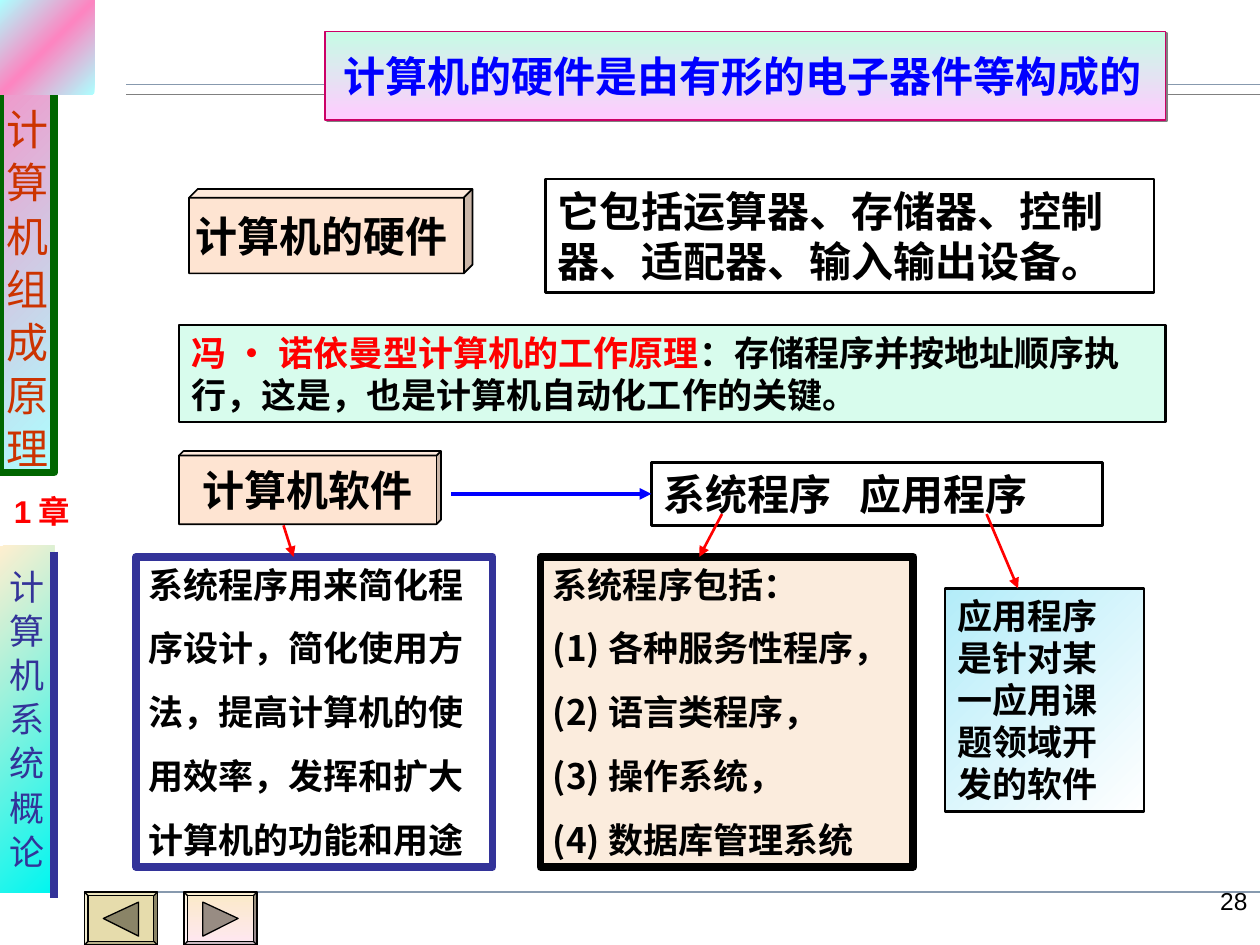
from copy import deepcopy

from lxml.etree import SubElement
from pptx import Presentation
from pptx.dml.color import RGBColor
from pptx.enum.shapes import MSO_CONNECTOR, MSO_SHAPE as SHAPE
from pptx.enum.text import MSO_ANCHOR as ANCHOR, MSO_AUTO_SIZE, PP_ALIGN as ALIGN
from pptx.oxml.ns import qn
from pptx.util import Inches, Pt

SANS, CJK = "Arial", "Noto Sans CJK SC"
BLACK, RED, NAVY, PEACH = "000000", "FF0000", "333399", "FEE4D2"
PINK, AQUA = "FD85C1", "ADFFFF"

# Content
TITLE = "计算机的硬件是由有形的电子器件等构成的"
COURSE, CHAPTER, TOPIC = "计算机组成原理", "1章", "计算机系统概论"
PAGE = "28"
CUBES = [  # text, box, depth, font
    ("计算机的硬件 ", (1.5, 1.5, 2.25, 0.67), 0.104, CJK),
    ("计算机软件", (1.42, 3.58, 2.08, 0.58), 0.062, SANS),
]
HARDWARE_PARTS = ["它包括运算器、存储器、控制器、适配器、输入输出设备。"]
PRINCIPLE = [[("冯·诺依曼型计算机的工作原理", RED),
              ("：存储程序并按地址顺序执行，这是，也是计算机自动化工作的关键。", BLACK)]]
PROGRAM_KINDS = ["系统程序\t应用程序"]
SOFTWARE_PURPOSE = ["系统程序用来简化程", "序设计，简化使用方", "法，提高计算机的使",
                    "用效率，发挥和扩大", "计算机的功能和用途"]
SYSTEM_PROGRAMS = ["系统程序包括：", "(1)各种服务性程序，", "(2)语言类程序，",
                   "(3)操作系统，", "(4)数据库管理系统"]
APPLICATIONS = ["应用程序是针对某一应用课题领域开发的软件"]
PANELS = [  # paragraphs, box, fill, line colour, line width, size
    (HARDWARE_PARTS, (4.33, 1.42, 4.83, 0.9), None, BLACK, 1.5, 24),
    (PRINCIPLE, (1.42, 2.58, 7.83, 0.77), "D8FCED", BLACK, 1.5, 20),
    (SOFTWARE_PURPOSE, (1.08, 4.42, 2.83, 2.46), None, NAVY, 4.5, 20),
    (SYSTEM_PROGRAMS, (4.29, 4.42, 2.96, 2.46), "FBECDD", BLACK, 4.5, 20),
    (APPLICATIONS, (7.5, 4.67, 1.58, 1.77), (45, "B3ECF9", "FFFFFF"), BLACK, 1.5, 20),
]
RULES = [(1, 0.67, "8799AE"), (1, 0.75, "808080"), (0.67, 7.08, "8799AE")]
BUTTONS = [  # left, fill, arrow fill, direction
    (0.67, "E6DCAC", "8A8467", -1),
    (1.46, (90, "FBEAC7", "FEE7F2"), "988C83", 1),
]
RED_ARROWS = [((2.25, 4.17), (2.33, 4.42)), ((5.73, 4.08), (5.55, 4.42)),
              ((7.83, 4.08), (8.08, 4.67))]

prs = Presentation()
prs.slide_width, prs.slide_height = Inches(10), Inches(7.5)
slide = prs.slides.add_slide(prs.slide_layouts[5])
shapes = slide.shapes


def color(value):
    return RGBColor.from_string(value)


def paint(shape, fill=None, line=None, width=0.75):
    """Fill is None, a colour, or (clockwise angle, colour, colour, ...)."""
    if fill is None:
        shape.fill.background()
    elif isinstance(fill, str):
        shape.fill.solid()
        shape.fill.fore_color.rgb = color(fill)
    else:
        angle, *tones = fill
        shape.fill.gradient()
        shape.fill.gradient_angle = 360 - angle
        stops = shape.fill._fill._gradFill.find(qn("a:gsLst"))
        while len(stops) < len(tones):
            stops.append(deepcopy(stops[0]))
        for i, (stop, tone) in enumerate(zip(shape.fill.gradient_stops, tones)):
            stop.position = i / (len(tones) - 1)
            stop.color.rgb = color(tone)
    if line:
        shape.line.color.rgb = color(line)
        shape.line.width = Pt(width)
    else:
        shape.line.fill.background()


def write(shape, paragraphs, size=20, font=CJK, tone=BLACK, bold=True, align=ALIGN.LEFT,
          anchor=ANCHOR.TOP, wrap=True, gap=0, insets=(0.1, 0.05, 0.1, 0.05), tab=None):
    """Each paragraph is a string or a list of (text, colour) runs."""
    frame = shape.text_frame
    frame.auto_size = MSO_AUTO_SIZE.NONE
    frame.word_wrap, frame.vertical_anchor = wrap, anchor
    (frame.margin_left, frame.margin_top,
     frame.margin_right, frame.margin_bottom) = map(Inches, insets)
    for i, runs in enumerate(paragraphs):
        para = frame.paragraphs[0] if i == 0 else frame.add_paragraph()
        para.alignment = align
        para.line_spacing = Pt(size * 1.2)
        para.space_before = Pt(gap if i else 0)
        if tab:
            stops = SubElement(para._p.get_or_add_pPr(), qn("a:tabLst"))
            SubElement(stops, qn("a:tab"), pos=str(Inches(tab)), algn="l")
        for text, run_tone in [(runs, tone)] if isinstance(runs, str) else runs:
            run = para.add_run()
            run.text = text
            run.font.size, run.font.bold, run.font.name = Pt(size), bold, font
            run.font.color.rgb = color(run_tone)
            SubElement(run._r.get_or_add_rPr(), qn("a:ea"), typeface=CJK)


def block(kind, box, fill=None, line=None, width=0.75):
    shape = shapes.add_shape(kind, *map(Inches, box))
    shape.shadow.inherit = False
    paint(shape, fill, line, width)
    return shape


def label(box, text, **style):
    write(shapes.add_textbox(*map(Inches, box)), [text], **style)


def connect(start, end, tone, width, arrow=False):
    line = shapes.add_connector(MSO_CONNECTOR.STRAIGHT, *map(Inches, start + end))
    line.line.color.rgb = color(tone)
    line.line.width = Pt(width)
    if arrow:
        SubElement(line.line._get_or_add_ln(), qn("a:tailEnd"), type="triangle")
    SubElement(line._element.spPr, qn("a:effectLst"))
    return line


# Rules across the page
for left, y, tone in RULES:
    connect((left, y), (10, y), tone, 0.75)

# Sidebar: course, chapter and topic
course = block(SHAPE.RECTANGLE, (0, 0, 0.43, 3.75), (45, PINK, AQUA), "006600", 4.5)
write(course, list(COURSE), size=24, font=SANS, tone="CC3300", bold=False, gap=1.5,
      align=ALIGN.CENTER, anchor=ANCHOR.BOTTOM, wrap=False, insets=(0.1, 0.05, 0.1, 0))
topic = block(SHAPE.RECTANGLE, (0, 4.33, 0.43, 2.75), (45, "FFEFCF", "00F6F0"))
write(topic, list(TOPIC), font=SANS, tone=NAVY, bold=False, gap=1.2,
      align=ALIGN.CENTER, anchor=ANCHOR.MIDDLE, wrap=False)
block(SHAPE.RECTANGLE, (0, 0, 0.75, 0.75), (45, AQUA, PINK, AQUA))
label((0, 3.86, 0.67, 0.4), CHAPTER, size=18, font=SANS, tone=RED, align=ALIGN.CENTER)
connect((0.43, 4.38), (0.43, 7.13), NAVY, 4.5)

# Back and forward buttons
for left, fill, arrow_fill, way in BUTTONS:
    button = block(SHAPE.BEVEL, (left, 7.08, 0.58, 0.42), fill, BLACK)
    button.adjustments[0] = 0.07
    middle, base, tip = left + 0.29, left + 0.29 - way * 0.14, left + 0.29 + way * 0.14
    outline = shapes.build_freeform(Inches(tip), Inches(7.29))
    outline.add_line_segments([(Inches(base), Inches(7.16)), (Inches(base), Inches(7.43))])
    triangle = outline.convert_to_shape()
    triangle.shadow.inherit = False
    paint(triangle, arrow_fill, BLACK)

# Page number
label((9, 6.98, 1, 0.52), PAGE, size=14, font=SANS, bold=False, align=ALIGN.RIGHT)

# Title, above the rules
title = shapes.title
title.left, title.top, title.width, title.height = map(Inches, (2.58, 0.25, 6.67, 0.7))
paint(title, (90, "C7FBE5", "FFCCFF"), "CC0066", 1)
write(title, [TITLE], size=24, font=SANS, tone="0000FF", align=ALIGN.RIGHT,
      anchor=ANCHOR.MIDDLE, insets=(0.1, 0.05, 0.19, 0.05))
effects = SubElement(title._element.spPr, qn("a:effectLst"))
shadow = SubElement(effects, qn("a:outerShdw"), dist=str(Pt(1.4)), dir="2700000")
SubElement(shadow, qn("a:srgbClr"), val="808080")
shapes._spTree.append(title._element)

# Hardware and software cubes
for text, box, depth, font in CUBES:
    cube = block(SHAPE.CUBE, box, PEACH, BLACK, 1)
    cube.adjustments[0] = depth
    write(cube, [text], size=24, font=font, align=ALIGN.CENTER,
          anchor=ANCHOR.MIDDLE, wrap=False)

# Program kinds, pointed at by the software cube
kinds = block(SHAPE.RECTANGLE, (5.17, 3.67, 3.58, 0.5), None, BLACK, 1.5)
write(kinds, PROGRAM_KINDS, size=24, tab=1.55)
connect((3.58, 3.92), (5.17, 3.92), "0000FF", 2.25, arrow=True).end_connect(kinds, 1)

# Explanations and the arrows that lead to them
for paragraphs, box, fill, line, width, size in PANELS:
    write(block(SHAPE.RECTANGLE, box, fill, line, width), paragraphs, size=size, gap=12.5)
for start, end in RED_ARROWS:
    connect(start, end, RED, 1.5, arrow=True)

prs.save("out.pptx")
